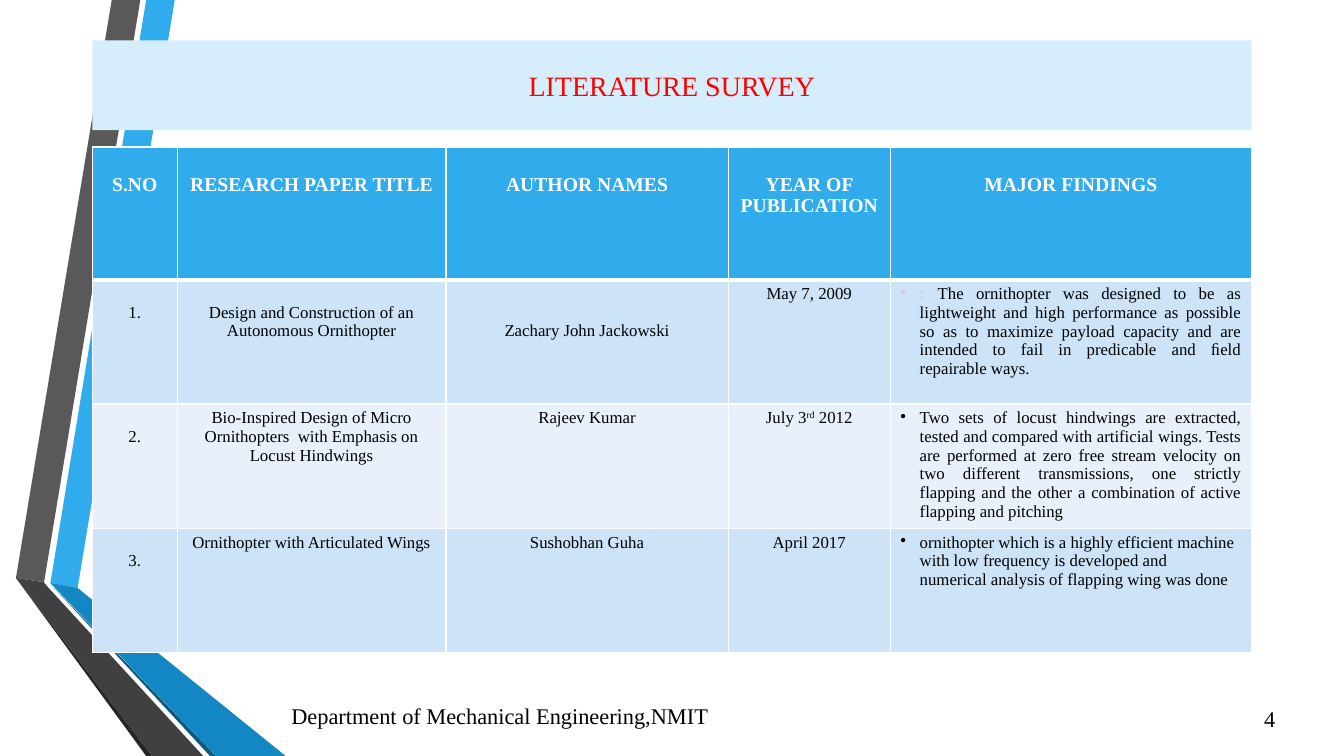
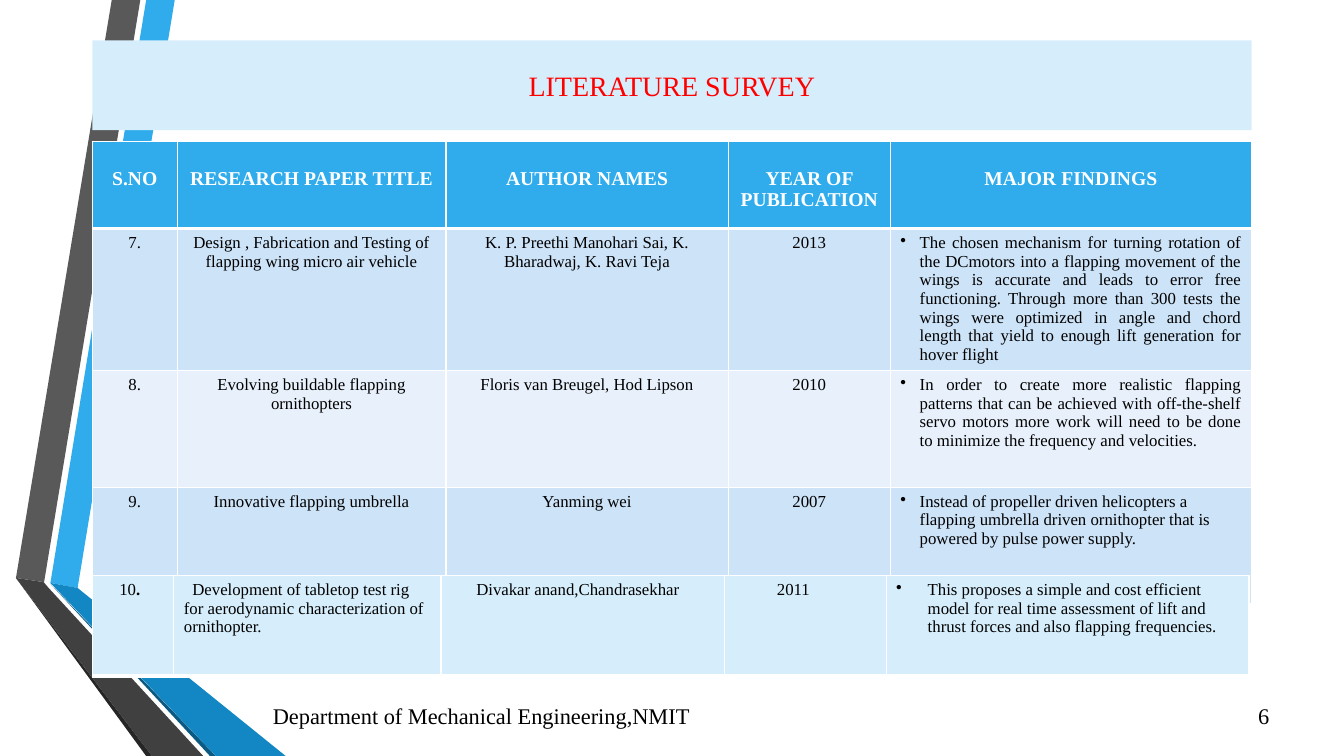
from dataclasses import dataclass
from lxml.etree import SubElement
from pptx import Presentation
from pptx.dml.color import RGBColor as Rgb
from pptx.enum.text import MSO_ANCHOR as Anchor, PP_ALIGN as Align
from pptx.oxml.ns import qn
from pptx.util import Inches, Pt


@dataclass(frozen=True)
class Theme:
    font: str = "Times New Roman"
    title_size: int = 20
    head_size: int = 14
    body_size: int = 12
    foot_size: int = 16
    line_height: float = 1.107
    white: str = "FFFFFF"
    black: str = "000000"
    red: str = "FF0000"
    faint: str = "DBC2F3"
    panel: str = "D6EEFB"
    head: str = "30ACEC"
    odd: str = "CDE3F8"
    even: str = "E8F1FB"


@dataclass(frozen=True)
class Entry:
    text: object
    skip: int = 0
    align: object = Align.CENTER
    left: float = 0
    first: float = 0
    bullet: bool = False


THEME = Theme()
GRID = Inches(1 / 12)
COLUMNS, ROWS = 160, 90
MARGIN, CONTENT = 11, 138
BULLET = dict(left=2.3, first=-2.3, bullet=True)
JUSTIFIED = dict(align=Align.JUSTIFY, **BULLET)
RAGGED = dict(align=Align.LEFT, **BULLET)

RIBBONS = [
    ("30ACEC", [(6, 69.4), (9.24, 70), (20.8, 0), (17.4, 0)]),
    ("595959", [(16.7, 0), (13.3, 0), (1.9, 68.8), (5.25, 69.3)]),
    ("262626", [(1.9, 68.8), (17.4, 90), (18.1, 90)]),
    ("0C5A82", [(6, 69.5), (25, 90), (25.7, 90)]),
    ("1287C3", [(6, 69.4), (25.7, 90), (34, 90), (9.24, 70)]),
    ("404040", [(24.2, 90), (5.8, 70), (5.2, 69.3), (1.9, 68.8), (18.1, 90)]),
]

HEADINGS = [
    Entry(text, skip=1)
    for text in (
        "S.NO",
        "RESEARCH PAPER TITLE",
        "AUTHOR NAMES",
        "YEAR OF PUBLICATION",
        "MAJOR FINDINGS",
    )
]
SURVEY_COLUMNS = [10.1, 32, 33.6, 19.3, 43]

FIRST_PAPERS = [
    [
        Entry("1.", skip=1),
        Entry("Design and Construction of an Autonomous Ornithopter", skip=1),
        Entry("Zachary John Jackowski", skip=2),
        Entry("May 7, 2009"),
        Entry(
            [
                (": ", "faint"),
                (
                    "The ornithopter was designed to be as lightweight and high "
                    "performance as possible so as to maximize payload capacity and "
                    "are intended to fail in predicable and ﬁeld repairable ways.",
                    "",
                ),
            ],
            **JUSTIFIED,
        ),
    ],
    [
        Entry("2.", skip=1),
        Entry(
            "Bio-Inspired Design of Micro Ornithopters  with Emphasis on "
            "Locust Hindwings"
        ),
        Entry("Rajeev Kumar"),
        Entry([("July 3", ""), ("rd", "raised"), (" 2012", "")]),
        Entry(
            "Two sets of locust hindwings are extracted, tested and compared with "
            "artificial wings. Tests are performed at zero free stream velocity on "
            "two different transmissions, one strictly flapping and the other a "
            "combination of active flapping and pitching",
            **JUSTIFIED,
        ),
    ],
    [
        Entry("3.", skip=1),
        Entry("Ornithopter with Articulated Wings"),
        Entry("Sushobhan Guha"),
        Entry("April 2017"),
        Entry(
            "ornithopter which is a highly efficient machine with low frequency is "
            "developed and  numerical analysis of flapping wing was done",
            **RAGGED,
        ),
    ],
]

LATER_PAPERS = [
    [
        Entry("7."),
        Entry("Design , Fabrication and Testing of flapping wing micro air vehicle"),
        Entry("K. P. Preethi Manohari Sai, K. Bharadwaj, K. Ravi Teja"),
        Entry("2013"),
        Entry(
            "The chosen mechanism for turning rotation of the DCmotors into a "
            "flapping movement of the wings is accurate and leads to error free "
            "functioning. Through more than 300 tests the wings were optimized in "
            "angle and chord length that yield to enough lift generation for hover "
            "flight",
            **JUSTIFIED,
        ),
    ],
    [
        Entry("8."),
        Entry("Evolving buildable flapping ornithopters"),
        Entry("Floris van Breugel, Hod Lipson"),
        Entry("2010"),
        Entry(
            "In order to create more realistic flapping patterns that can be "
            "achieved with off-the-shelf servo motors more work will need to be done "
            "to minimize the frequency and velocities.",
            **JUSTIFIED,
        ),
    ],
    [
        Entry("9."),
        Entry("Innovative flapping umbrella"),
        Entry("Yanming wei"),
        Entry("2007"),
        Entry(
            "Instead of propeller driven helicopters a flapping umbrella driven "
            "ornithopter that is powered by pulse power supply.",
            **RAGGED,
        ),
    ],
]

LAST_PAPER = [
    Entry([("10", ""), (".", "bold")], align=Align.LEFT, left=2),
    Entry(
        "Development of tabletop test rig for aerodynamic characterization of "
        "ornithopter.",
        align=Align.LEFT,
        first=1,
    ),
    Entry("Divakar anand,Chandrasekhar", align=Align.LEFT, left=3),
    Entry("2011", align=Align.LEFT, left=5),
    Entry(
        "This proposes a simple and cost efficient model for real time assessment "
        "of lift and thrust forces and also flapping frequencies.",
        align=Align.LEFT,
        left=3.75,
        first=-3.75,
        bullet=True,
    ),
]

PAGES = [
    dict(
        tables=[
            (17.5, SURVEY_COLUMNS, [15.8, 14.8, 14.8, 14.8], [HEADINGS, *FIRST_PAPERS])
        ],
        footer_left=33.5,
        number="4",
        number_box=(145, 81.4, 8, 8.2),
    ),
    dict(
        tables=[
            (16.8, SURVEY_COLUMNS, [10.4, 16.9, 13.9, 13.9], [HEADINGS, *LATER_PAPERS]),
            (68.5, [9.7, 31.8, 33.8, 19.2, 43.2], [12], [LAST_PAPER]),
        ],
        footer_left=31.3,
        number="6",
        number_box=(145.1, 82.8, 7.2, 4.8),
    ),
]


def write(para, entry, size, color, bold=False):
    props = para._p.get_or_add_pPr()
    if entry.left or entry.first:
        props.set("marL", str(int(entry.left * GRID)))
        props.set("indent", str(int(entry.first * GRID)))
    if entry.bullet:
        SubElement(props, qn("a:buChar"), char="•")
    para.alignment = entry.align
    para.font.name = THEME.font
    para.font.size = Pt(size)
    para.font.bold = bold
    para.font.color.rgb = Rgb.from_string(color)
    runs = [(entry.text, "")] if isinstance(entry.text, str) else entry.text
    for text, style in runs:
        span = para.add_run()
        span.text = text
        if style in ("bold", "faint"):
            span.font.bold = True
        if style == "faint":
            span.font.color.rgb = Rgb.from_string(THEME.faint)
        if style == "raised":
            span.font._element.set("baseline", "30000")


def paint_cell(cell, fill, top, bottom):
    props = cell._tc.get_or_add_tcPr()
    for side, weight in (("L", 1), ("R", 1), ("T", top), ("B", bottom)):
        edge = SubElement(props, qn(f"a:ln{side}"), w=str(Pt(weight)))
        ink = SubElement(edge, qn("a:solidFill"))
        SubElement(ink, qn("a:srgbClr"), val=THEME.white)
    cell.fill.solid()
    cell.fill.fore_color.rgb = Rgb.from_string(fill)


deck = Presentation()
deck.slide_width, deck.slide_height = COLUMNS * GRID, ROWS * GRID
layout = deck.slide_layouts[5]

for page_index, content in enumerate(PAGES):
    page = deck.slides.add_slide(layout)

    if page_index == 0:
        for order, (color, outline) in enumerate(RIBBONS):
            points = [(x * GRID, y * GRID) for x, y in outline]
            builder = page.shapes.build_freeform(*points[0])
            builder.add_line_segments(points[1:], close=True)
            ribbon = builder.convert_to_shape()
            ribbon.shadow.inherit = False
            ribbon.fill.solid()
            ribbon.fill.fore_color.rgb = Rgb.from_string(color)
            ribbon.line.fill.background()
            ribbon.element.nvSpPr.cNvPr.set("id", str(100 + order))
            layout.shapes.element.insert(2 + order, ribbon.element)

    title = page.shapes.title
    title.left, title.top = int(MARGIN * GRID), int(4.8 * GRID)
    title.width, title.height = int(CONTENT * GRID), int(10.7 * GRID)
    title.fill.solid()
    title.fill.fore_color.rgb = Rgb.from_string(THEME.panel)
    title.text_frame.vertical_anchor = Anchor.MIDDLE
    write(
        title.text_frame.paragraphs[0],
        Entry("LITERATURE SURVEY"),
        THEME.title_size,
        THEME.red,
    )

    for top, widths, heights, entries in content["tables"]:
        frame = page.shapes.add_table(
            len(heights),
            len(widths),
            int(MARGIN * GRID),
            int(top * GRID),
            int(sum(widths) * GRID),
            int(sum(heights) * GRID),
        )
        table = frame.table
        strip = len(heights) == 1
        table.first_row = not strip
        table.horz_banding = False
        for column, width in zip(table.columns, widths):
            column.width = int(width * GRID)
        for row_index, (height, row_entries) in enumerate(zip(heights, entries)):
            table.rows[row_index].height = int(height * GRID)
            heading = row_index == 0 and not strip
            size = THEME.head_size if heading else THEME.body_size
            color = THEME.white if heading else THEME.black
            band = THEME.odd if row_index % 2 else THEME.even
            fill = THEME.panel if strip else THEME.head if heading else band
            for column_index, entry in enumerate(row_entries):
                cell = table.cell(row_index, column_index)
                paint_cell(
                    cell,
                    fill,
                    top=3 if row_index == 1 else 1,
                    bottom=3 if row_index == 0 else 1,
                )
                cell.margin_top = Inches(0.05) + Pt(
                    entry.skip * size * THEME.line_height
                )
                write(cell.text_frame.paragraphs[0], entry, size, color, heading)

    labels = [
        (
            Entry("Department of Mechanical Engineering,NMIT", align=Align.LEFT),
            (content["footer_left"], 82.8, 93, 4.8),
        ),
        (Entry(content["number"], align=Align.RIGHT), content["number_box"]),
    ]
    for entry, bounds in labels:
        box = page.shapes.add_textbox(*(int(length * GRID) for length in bounds))
        box.text_frame.word_wrap = True
        box.text_frame.vertical_anchor = Anchor.MIDDLE
        write(box.text_frame.paragraphs[0], entry, THEME.foot_size, THEME.black)

deck.save("out.pptx")
